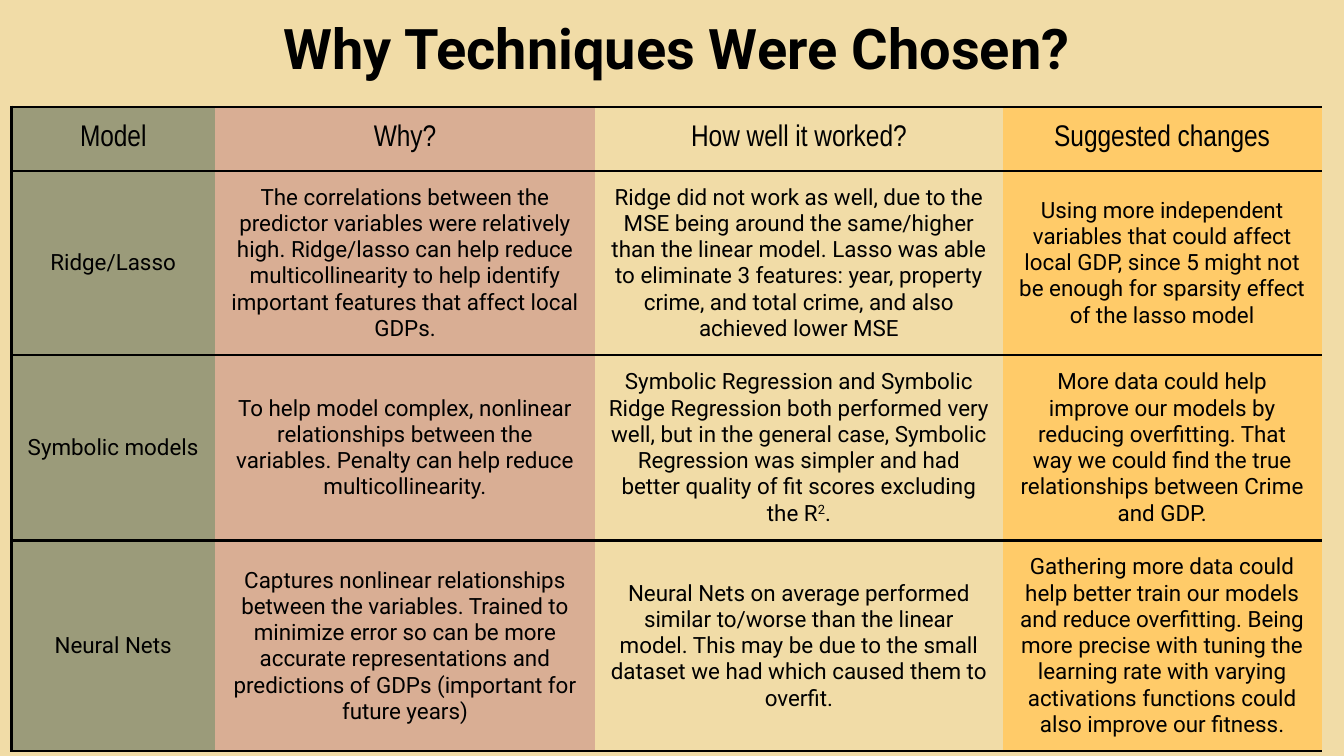
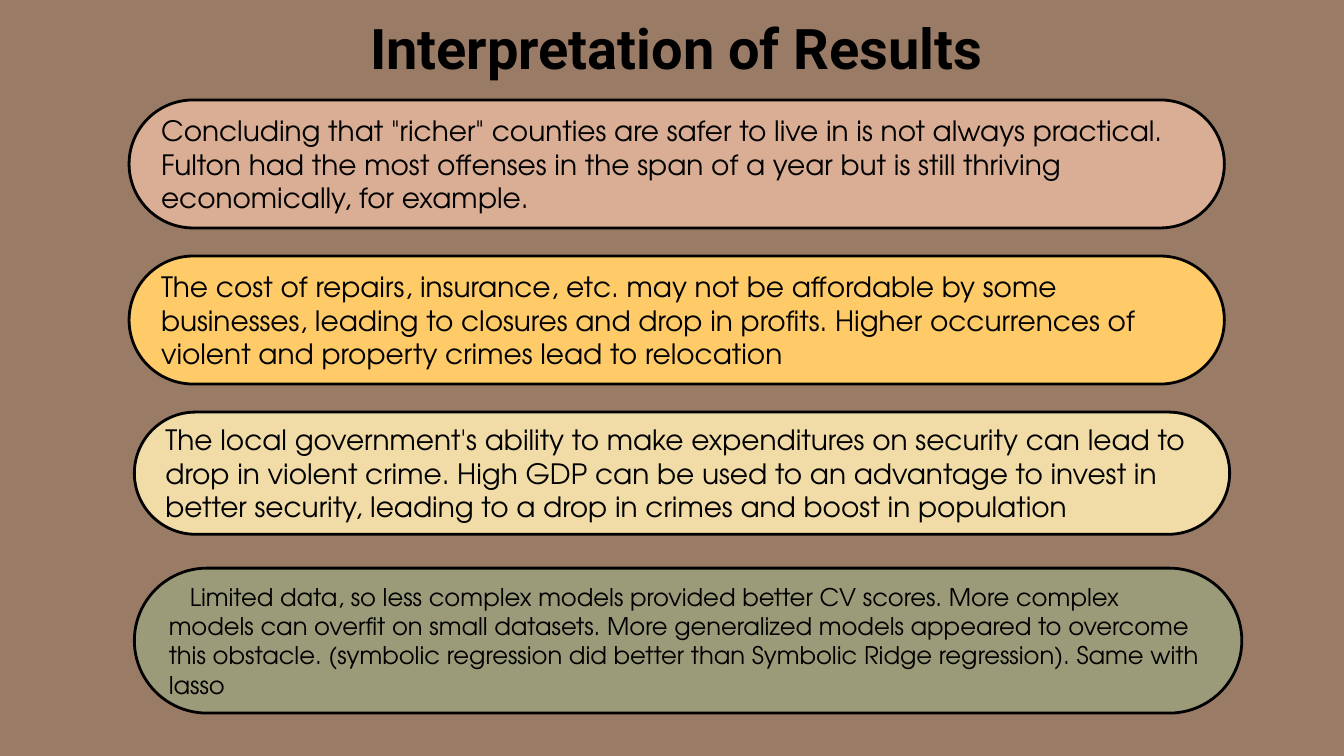
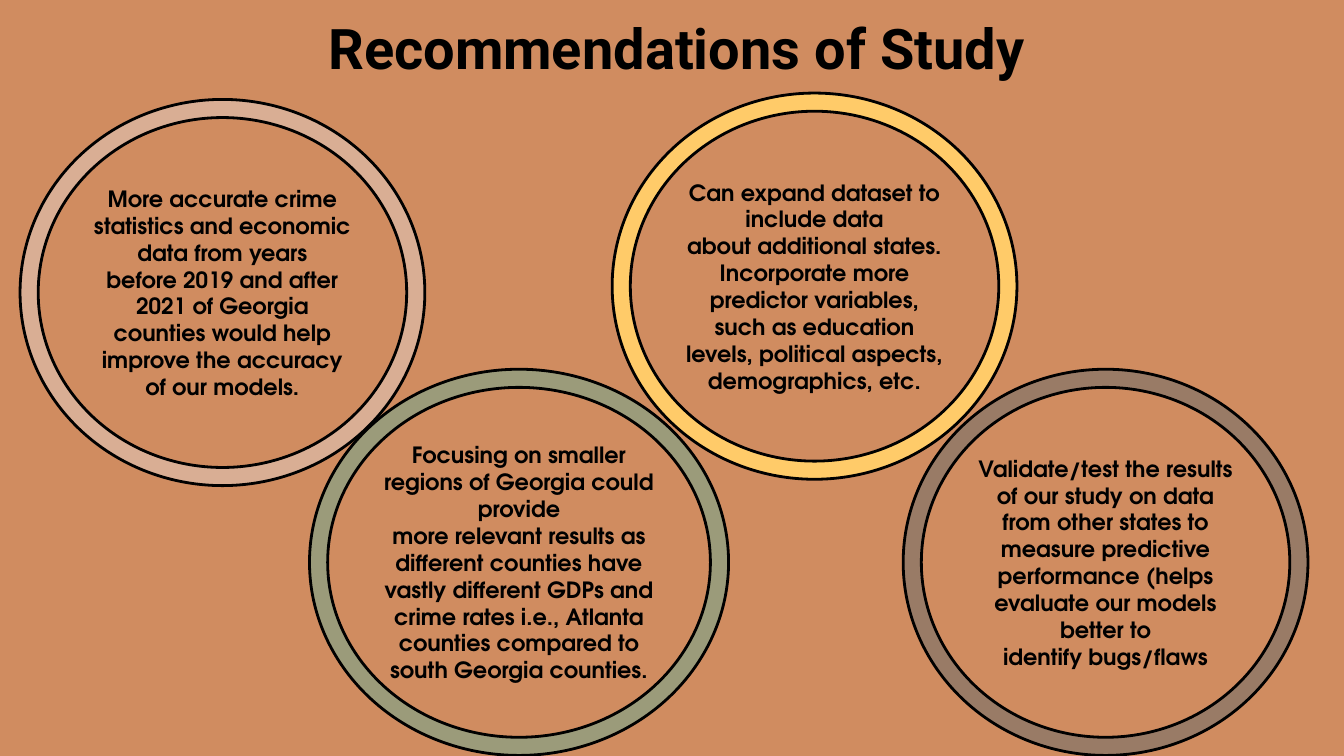
"""Build three slides on model choice, results and recommendations."""
import pptx
import pptx.dml.color
import pptx.enum.shapes
import pptx.enum.text
import pptx.oxml
import pptx.oxml.ns
import pptx.util

Cm, Pt = pptx.util.Cm, pptx.util.Pt
ALIGN = pptx.enum.text.PP_ALIGN
ANCHOR = pptx.enum.text.MSO_ANCHOR
PRESET = pptx.enum.shapes.MSO_SHAPE

COLORS = {"ink": "000000", "sage": "9B9B7A", "rose": "D9AE94", "cream": "F1DCA7",
          "amber": "FFCB69", "brown": "997B66", "clay": "D08C60"}
HEADING, HEADER, ROUND = "Roboto", "Arial Narrow", "TeX Gyre Adventor"
INSET = Cm(0.25)
RULE = Pt(1.5)
NO_STYLE = "{2D5ABB26-0587-4C30-8999-92F81FD0307C}"
GLUE, NO_BREAK_SPACE = "~", chr(160)

TECHNIQUES = [
    ["Model", "Why?", "How well it worked?", "Suggested changes"],
    ["Ridge/Lasso",
     "The correlations between the predictor variables were relatively high. Ridge/lasso can "
     "help reduce multicollinearity to help identify important features that affect local GDPs.",
     "Ridge did not work as well, due to the MSE being around the same/higher than the linear "
     "model. Lasso was able to eliminate 3 features: year, property crime, and total "
     "crime,~and also achieved lower MSE",
     "Using~more independent variables that could affect local GDP, since 5 might not be "
     "enough for sparsity effect of the lasso model"],
    ["Symbolic models",
     "To help model complex, nonlinear relationships between the variables. Penalty can help "
     "reduce multicollinearity.",
     [("Symbolic Regression and Symbolic Ridge Regression both performed very well, but in the "
       "general case, Symbolic Regression was simpler and had better quality of fit scores "
       "excluding the R", 0), ("2", 30), (".", 0)],
     "More data could help improve our models by reducing overfitting. That way we could find "
     "the true relationships between Crime and GDP."],
    ["Neural Nets",
     "Captures nonlinear relationships between the variables. Trained to minimize error so can "
     "be more accurate representations and predictions of GDPs (important for future years)",
     "Neural Nets on average performed similar~to/worse than the linear model. This may be due "
     "to the small dataset we had which caused them to overfit.",
     "Gathering more data could help better train our models and reduce overfitting. Being more "
     "precise with tuning the learning rate with varying activations functions could also "
     "improve our fitness."],
]
COLUMNS = [("sage", 3.84), ("rose", 7.19), ("cream", 7.7), ("amber", 6.03)]
ROW_HEIGHTS = [1.21, 3.48, 3.51, 3.98]

# fill, left, width, height, size, first-line indent, text
FINDINGS = [
    ("rose", 2.44, 20.7, 2.42, 15, 0,
     'Concluding that "richer" counties are safer to live in is not always practical. Fulton had '
     "the most offenses in the span of a year but is still thriving economically, for example."),
    ("amber", 2.44, 20.7, 2.42, 15, 0,
     "The cost of repairs, insurance, etc. may not be affordable by some businesses, leading to "
     "closures and drop in profits. Higher occurrences of violent and property crimes lead to "
     "relocation"),
    ("cream", 2.54, 20.7, 2.31, 15, 0,
     "The local government's ability to make expenditures on security can lead to drop in violent "
     "crime. High GDP can be used to an advantage to invest in better security, leading to a drop "
     "in crimes and boost in population"),
    ("sage", 2.54, 20.93, 2.74, 13, 0.4,
     "Limited~data, so less complex~models provided better CV scores. More complex models can "
     "overfit on small datasets.~More generalized models appeared to overcome this obstacle. "
     "(symbolic regression did better than Symbolic Ridge~regression). Same with lasso"),
]
FINDING_TOP, FINDING_STEP = 1.89, 2.95

RECOMMENDATIONS = [
    ("rose", 0.38, 1.88, 7.65,
     "More accurate crime statistics and economic data from years before~2019 and after 2021 of "
     "Georgia counties would help improve the~accuracy of our models."),
    ("sage", 5.85, 6.98, 7.92,
     "Focusing on smaller regions of Georgia could provide more~relevant~results as different "
     "counties have vastly different~GDPs and crime~rates i.e., Atlanta counties compared to "
     "south Georgia counties."),
    ("amber", 11.57, 1.76, 7.65,
     "Can expand dataset to include data about~additional states. Incorporate more predictor "
     "variables, such as education levels, political aspects, demographics, etc."),
    ("brown", 17.07, 6.98, 7.65,
     "Validate/test the results of our study on data from other states to measure predictive "
     "performance (helps evaluate our models better to identify~bugs/flaws"),
]
RING_HEIGHT = 7.3


def paint(fill, color):
    fill.solid()
    fill.fore_color.rgb = pptx.dml.color.RGBColor.from_string(COLORS[color])


def write(frame, content, font, size, bold=False, align=ALIGN.CENTER):
    paragraph = frame.paragraphs[0]
    paragraph.alignment = align
    for text, raised in [(content, 0)] if isinstance(content, str) else content:
        run = paragraph.add_run()
        run.text = text.replace(GLUE, NO_BREAK_SPACE)
        run.font.name, run.font.size, run.font.bold = font, Pt(size), bold
        paint(run.font.fill, "ink")
        if raised:
            run.font._element.set("baseline", str(raised * 1000))
    return paragraph


def fit_frame(frame, anchor):
    frame.word_wrap = True
    frame.auto_size = pptx.enum.text.MSO_AUTO_SIZE.NONE
    frame.vertical_anchor = anchor
    frame.margin_left = frame.margin_right = frame.margin_top = frame.margin_bottom = INSET


def titled_slide(deck, heading, background):
    slide = deck.slides.add_slide(deck.slide_layouts[5])
    paint(slide.background.fill, background)
    title = slide.shapes.title
    title.left, title.top, title.width, title.height = Cm(1.36), Cm(0), Cm(22.86), Cm(1.6)
    fit_frame(title.text_frame, ANCHOR.TOP)
    write(title.text_frame, heading, HEADING, 30, bold=True)
    return slide


def outlined(slide, preset, box, color, adjustment):
    shape = slide.shapes.add_shape(preset, *map(Cm, box))
    shape.shadow.inherit = False
    shape.adjustments[0] = adjustment
    paint(shape.fill, color)
    paint(shape.line.fill, "ink")
    shape.line.width = RULE
    fit_frame(shape.text_frame, ANCHOR.MIDDLE)
    return shape.text_frame


def rule_cell(cell, sides):
    properties = cell._tc.get_or_add_tcPr()
    for position, side in enumerate(sides):
        properties.insert(position, pptx.oxml.parse_xml(
            f'<a:ln{side} {pptx.oxml.ns.nsdecls("a")} w="{RULE}"><a:solidFill>'
            f'<a:srgbClr val="{COLORS["ink"]}"/></a:solidFill></a:ln{side}>'))


def add_techniques(slide):
    widths = [width for _, width in COLUMNS]
    frame = slide.shapes.add_table(len(TECHNIQUES), len(COLUMNS), Cm(0.22), Cm(2.02),
                                   Cm(sum(widths)), Cm(sum(ROW_HEIGHTS)))
    table = frame.table
    table.first_row = table.horz_banding = False
    for style in frame.element.iter(pptx.oxml.ns.qn("a:tableStyleId")):
        style.text = NO_STYLE
    for column, width in zip(table.columns, widths):
        column.width = Cm(width)
    for r, (row, height) in enumerate(zip(TECHNIQUES, ROW_HEIGHTS)):
        table.rows[r].height = Cm(height)
        font, size = (HEADING, 12) if r else (HEADER, 16)
        for c, content in enumerate(row):
            cell = table.cell(r, c)
            cell.vertical_anchor = ANCHOR.MIDDLE
            cell.margin_left = cell.margin_right = INSET
            cell.margin_top = cell.margin_bottom = INSET
            paint(cell.fill, COLUMNS[c][0])
            rule_cell(cell, "TB" if c else "LTB")
            write(cell.text_frame, content, font, size)


def add_findings(slide):
    for i, (color, left, width, height, size, indent, text) in enumerate(FINDINGS):
        box = (left, FINDING_TOP + i * FINDING_STEP, width, height)
        frame = outlined(slide, PRESET.ROUNDED_RECTANGLE, box, color, 0.5)
        paragraph = write(frame, text, ROUND, size, align=ALIGN.LEFT)
        if indent:
            paragraph._p.get_or_add_pPr().set("indent", str(Cm(indent)))


def add_recommendations(slide):
    for color, left, top, width, text in RECOMMENDATIONS:
        frame = outlined(slide, PRESET.DONUT, (left, top, width, RING_HEIGHT), color, 0.047)
        write(frame, text, ROUND, 12, bold=True)


def main():
    deck = pptx.Presentation()
    deck.slide_width, deck.slide_height = Cm(25.4), Cm(14.29)
    add_techniques(titled_slide(deck, "Why Techniques Were Chosen?", "cream"))
    add_findings(titled_slide(deck, "Interpretation of Results", "brown"))
    add_recommendations(titled_slide(deck, "Recommendations of Study", "clay"))
    deck.save("out.pptx")


if __name__ == "__main__":
    main()
